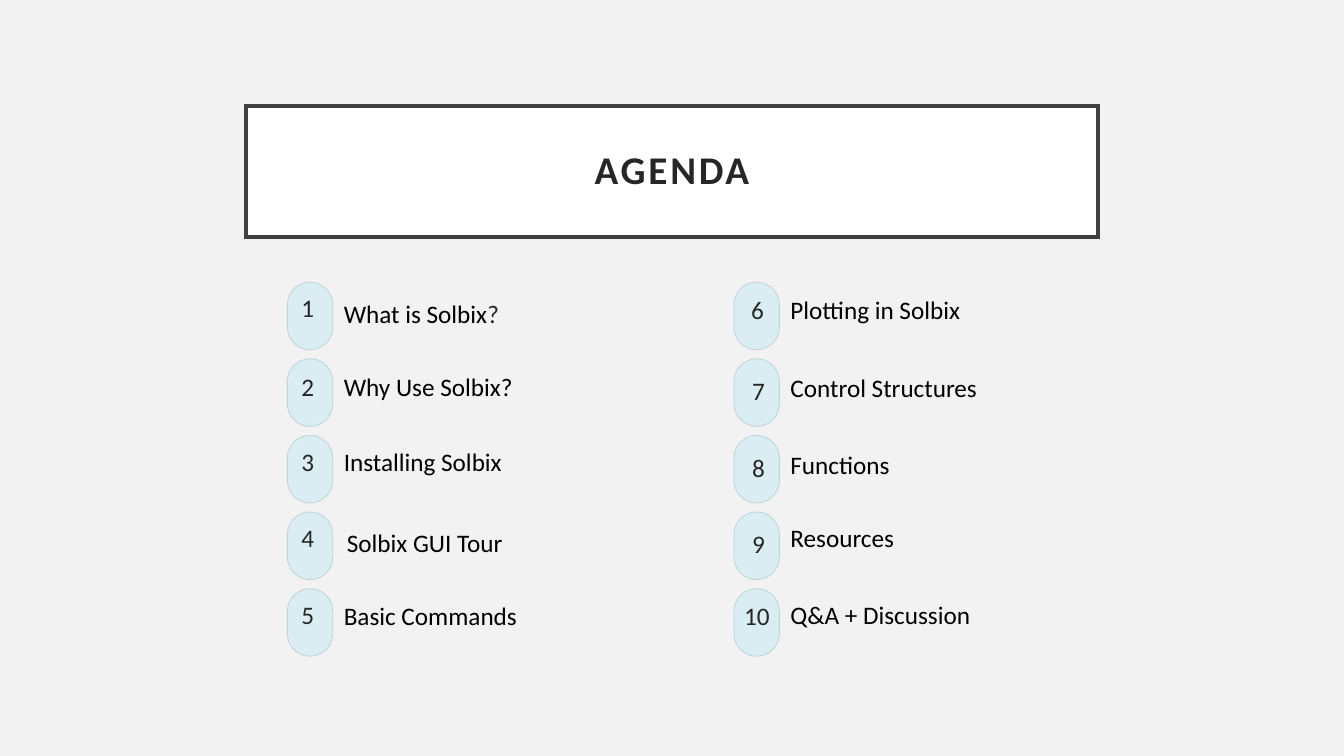
from lxml.etree import SubElement
from pptx import Presentation
from pptx.dml.color import RGBColor
from pptx.enum.shapes import MSO_SHAPE
from pptx.enum.text import MSO_ANCHOR, MSO_AUTO_SIZE, PP_ALIGN
from pptx.oxml.ns import qn
from pptx.util import Inches, Pt

# Content: label, then (left, top) of number and of label inside its row
TITLE = "AGENDA"
COLUMNS = [
    [
        ("What is Solbix?", (0.14, 0.23), (0.56, 0.16)),
        ("Why Use Solbix?", (0.14, 0.25), (0.56, 0.25)),
        ("Installing Solbix", (0.14, 0.23), (0.56, 0.23)),
        ("Solbix GUI Tour", (0.14, 0.23), (0.59, 0.28)),
        ("Basic Commands", (0.14, 0.23), (0.56, 0.24)),
    ],
    [
        ("Plotting in Solbix", (0.17, 0.25), (0.56, 0.25)),
        ("Control Structures", (0.18, 0.29), (0.56, 0.26)),
        ("Functions", (0.18, 0.29), (0.56, 0.26)),
        ("Resources", (0.18, 0.29), (0.56, 0.23)),
        ("Q&A + Discussion", (0.1, 0.24), (0.56, 0.23)),
    ],
]

# Look
COLORS = {
    "background": "F2F2F2", "panel": "FFFFFF", "frame": "404040",
    "badge": "D9EDF2", "badge_line": "BFD3D8", "dark": "262626", "label": "000000",
}
FONT = "Calibri"
TITLE_FONT = {"name": FONT, "size": Pt(28), "bold": True}
ITEM_FONT = {"name": FONT, "size": Pt(18)}
TIGHT_LINE = {"line_spacing": Pt(12.5), "space_before": Pt(10)}
NATURAL_LINE = {"space_before": Pt(10)}
TEXT_BOX_FRAME = {
    "margin_left": 0, "margin_right": 0, "margin_top": 0, "margin_bottom": 0,
    "word_wrap": False, "auto_size": MSO_AUTO_SIZE.NONE,
}
TITLE_FRAME = {
    "margin_left": Inches(0.2), "margin_right": Inches(0.2),
    "margin_top": Inches(0.2), "margin_bottom": Inches(0.2),
    "vertical_anchor": MSO_ANCHOR.MIDDLE, "word_wrap": True,
    "auto_size": MSO_AUTO_SIZE.NONE,
}

# Grid, in inches
GRID_LEFT, GRID_TOP = 2.85, 2.8
COLUMN_STEP, ROW_STEP = 4.43, 0.76
BADGE_SIZE = (0.45, 0.67)
DIGIT_WIDTH, NUMBER_HEIGHT = 0.15, 0.21
LABEL_SIZE = (1.8, 0.18)


def color(name):
    return RGBColor.from_string(COLORS[name])


def apply(target, values):
    for name, value in values.items():
        setattr(target, name, value)


def paint(shape, fill, line, width):
    shape.fill.solid()
    shape.fill.fore_color.rgb = color(fill)
    shape.line.color.rgb = color(line)
    shape.line.width = Pt(width)


def add_run(paragraph, text, font, color_name):
    run = paragraph.add_run()
    run.text = text
    apply(run.font, font)
    run.font.color.rgb = color(color_name)
    return run


def add_text(slide, left, top, size, runs, line_format):
    box = slide.shapes.add_textbox(*map(Inches, (left, top, *size)))
    apply(box.text_frame, TEXT_BOX_FRAME)
    paragraph = box.text_frame.paragraphs[0]
    apply(paragraph, line_format)
    for text, color_name in runs:
        add_run(paragraph, text, ITEM_FONT, color_name)


def add_title(slide):
    title = slide.shapes.title
    apply(title, {"left": Inches(2.44), "top": Inches(1.05),
                  "width": Inches(8.45), "height": Inches(1.3)})
    paint(title, "panel", "frame", 2.5)
    # Square frame corners
    SubElement(title._element.spPr.find(qn("a:ln")), qn("a:miter"), lim="800000")
    apply(title.text_frame, TITLE_FRAME)
    paragraph = title.text_frame.paragraphs[0]
    apply(paragraph, {"alignment": PP_ALIGN.CENTER, "line_spacing": 0.9})
    run = add_run(paragraph, TITLE, TITLE_FONT, "dark")
    run.font._element.set("spc", "200")


def add_item(slide, number, left, top, item):
    label, number_offset, label_offset = item
    badge = slide.shapes.add_shape(
        MSO_SHAPE.ROUNDED_RECTANGLE, *map(Inches, (left, top, *BADGE_SIZE)))
    badge.adjustments[0] = 0.5
    badge.shadow.inherit = False
    paint(badge, "badge", "badge_line", 0.6)

    digits = str(number)
    add_text(slide, left + number_offset[0], top + number_offset[1],
             (DIGIT_WIDTH * len(digits), NUMBER_HEIGHT), [(digits, "dark")], TIGHT_LINE)

    # The opening item has natural line height and a softer question mark
    first = number == 1
    runs = [(label[:-1], "label"), (label[-1], "dark")] if first else [(label, "label")]
    add_text(slide, left + label_offset[0], top + label_offset[1], LABEL_SIZE,
             runs, NATURAL_LINE if first else TIGHT_LINE)


def main():
    presentation = Presentation()
    presentation.slide_width = Inches(13.33)
    presentation.slide_height = Inches(7.5)
    slide = presentation.slides.add_slide(presentation.slide_layouts[5])
    slide.background.fill.solid()
    slide.background.fill.fore_color.rgb = color("background")

    add_title(slide)
    for column, items in enumerate(COLUMNS):
        for row, item in enumerate(items):
            add_item(slide, column * len(items) + row + 1,
                     GRID_LEFT + column * COLUMN_STEP, GRID_TOP + row * ROW_STEP, item)
    presentation.save("out.pptx")


if __name__ == "__main__":
    main()
